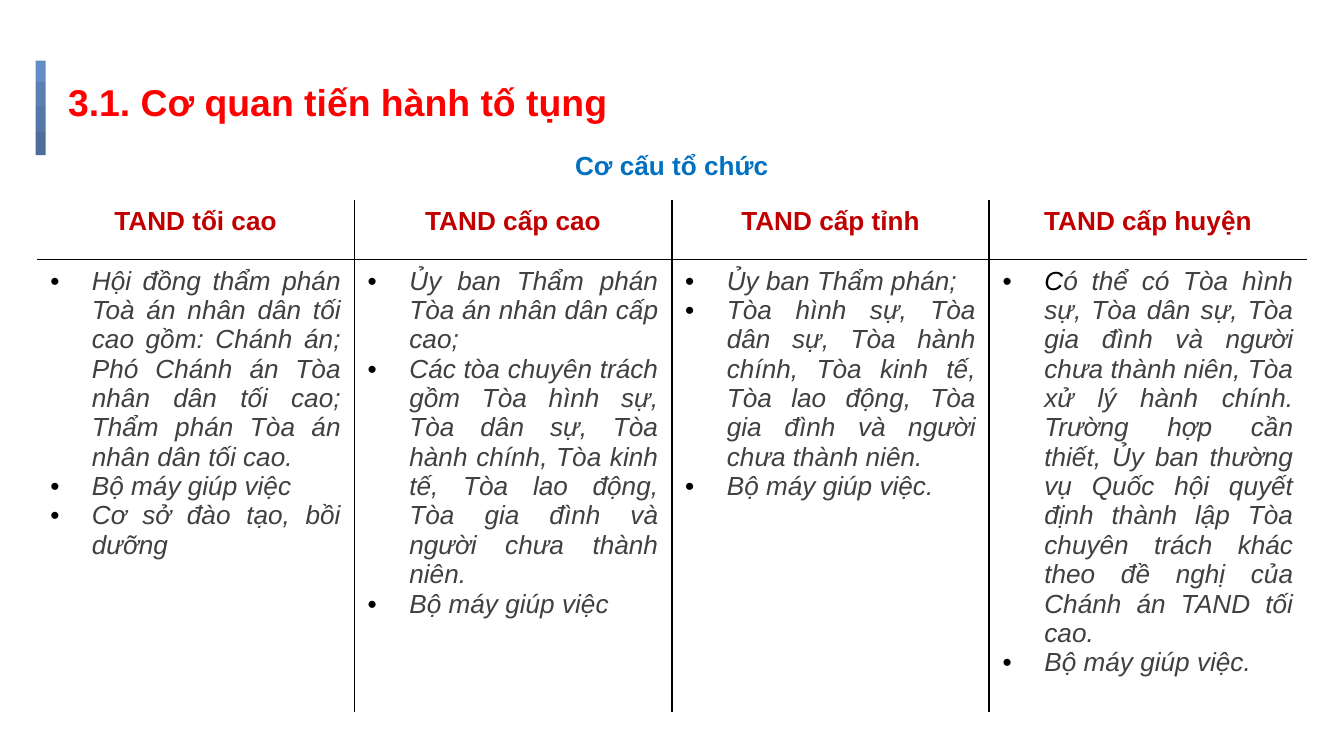
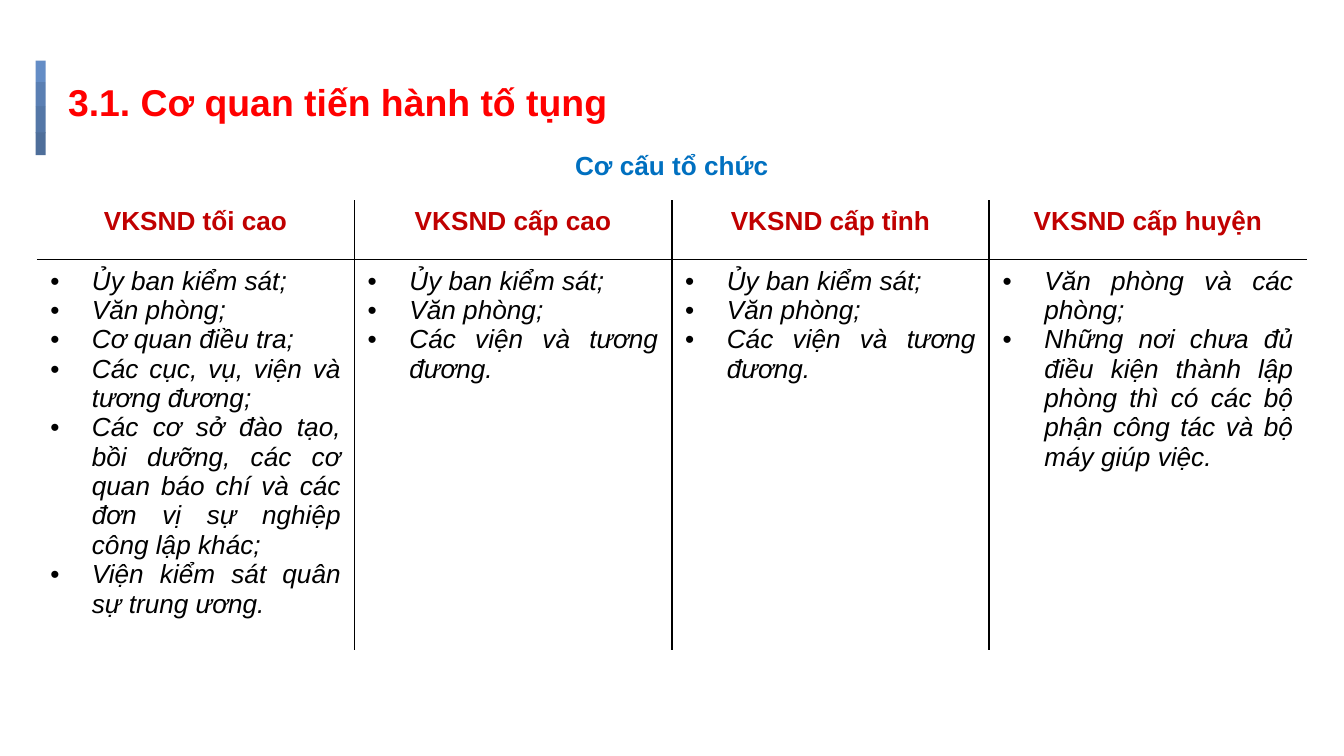
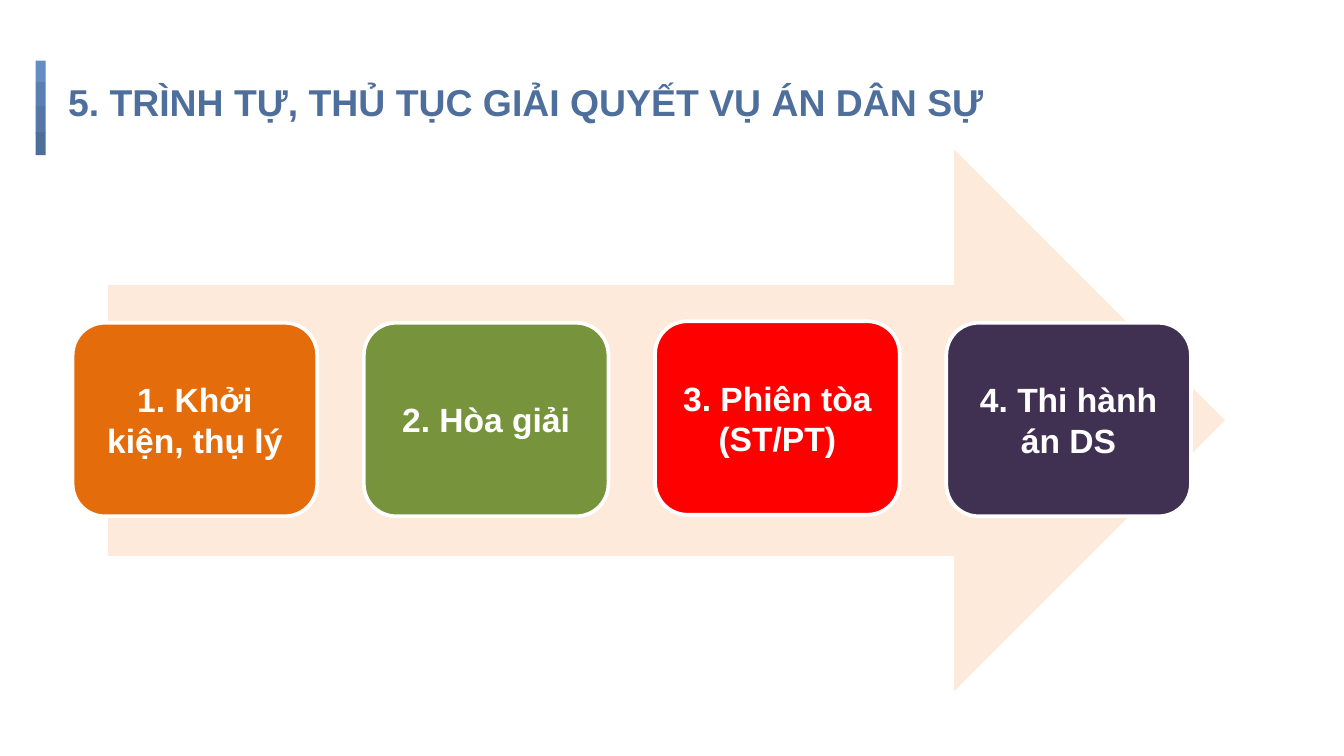
from pptx import Presentation
from pptx.dml.color import RGBColor
from pptx.enum.shapes import MSO_SHAPE as SHAPE
from pptx.enum.text import MSO_ANCHOR as ANCHOR, PP_ALIGN as ALIGN
from pptx.oxml import parse_xml
from pptx.oxml.ns import nsdecls, qn
from pptx.util import Inches, Pt

COLORS = {
    "red": "FF0000", "blue": "0070C0", "steel": "4E6F9B", "crimson": "C00000",
    "black": "000000", "grey": "404040", "white": "FFFFFF", "peach": "FDEADA",
    "orange": "E46C0A", "green": "77933C", "plum": "403152",
    "bar1": "648DC6", "bar2": "5A7FB3", "bar3": "5477A7", "bar4": "4E6E9A",
}
FORMATS = {
    "title": {"size": Pt(20), "bold": True},
    "heading": {"size": Pt(14), "bold": True},
    "body": {"size": Pt(14), "bold": False, "italic": True},
    "step": {"size": Pt(18), "bold": True},
}
PLAIN_STYLE = "{2D5ABB26-0587-4C30-8999-92F81FD0307C}"
BAR = [("bar3", 15.82, 2), ("bar4", 19.02, 1.7), ("bar1", 9.42, 1.6), ("bar2", 12.44, 1.8)]
STRUCTURE = "3.1. Cơ quan tiến hành tố tụng"
PROCEDURE = "5. TRÌNH TỰ, THỦ TỤC GIẢI QUYẾT VỤ ÁN DÂN SỰ"
LEVELS = ["tối cao", "cấp cao", "cấp tỉnh", "cấp huyện"]
PROSECUTION = ["Ủy ban kiểm sát;", "Văn phòng;"]
OFFICES = PROSECUTION + ["Các viện và tương đương."]
BODIES = [
    ("TAND", "grey", 71.1, [
        ["Hội đồng thẩm phán Toà án nhân dân tối cao gồm: Chánh án; Phó Chánh án Tòa nhân dân tối cao; "
         "Thẩm phán Tòa án nhân dân tối cao.",
         "Bộ máy giúp việc",
         "Cơ sở đào tạo, bồi dưỡng"],
        ["Ủy ban Thẩm phán Tòa án nhân dân cấp cao;",
         "Các tòa chuyên trách gồm Tòa hình sự, Tòa dân sự, Tòa hành chính, Tòa kinh tế, "
         "Tòa lao động, Tòa gia đình và người chưa thành niên.",
         "Bộ máy giúp việc"],
        ["Ủy ban Thẩm phán;",
         "Tòa hình sự, Tòa dân sự, Tòa hành chính, Tòa kinh tế, Tòa lao động, "
         "Tòa gia đình và người chưa thành niên.",
         "Bộ máy giúp việc."],
        ["C|ó thể có Tòa hình sự, Tòa dân sự, Tòa gia đình và người chưa thành niên, "
         "Tòa xử lý hành chính. Trường hợp cần thiết, Ủy ban thường vụ Quốc hội quyết định "
         "thành lập Tòa chuyên trách khác theo đề nghị của Chánh án TAND tối cao.",
         "Bộ máy giúp việc."],
    ]),
    ("VKSND", "black", 63.4, [
        PROSECUTION + [
            "Cơ quan điều tra;",
            "Các cục, vụ, viện và tương đương;",
            "Các cơ sở đào tạo, bồi dưỡng, các cơ quan báo chí và các đơn vị sự nghiệp công lập khác;",
            "Viện kiểm sát quân sự trung ương."],
        OFFICES,
        OFFICES,
        ["Văn phòng và các phòng;",
         "Những nơi chưa đủ điều kiện thành lập phòng thì có các bộ phận công tác và bộ máy giúp việc."],
    ]),
]
STEPS = [
    ("1. Khởi kiện, thụ lý", "orange", 42.7), ("2. Hòa giải", "green", 42.7),
    ("3. Phiên tòa (ST/PT)", "red", 42.5), ("4. Thi hành án DS", "plum", 42.7),
]

deck = Presentation()
deck.slide_width, deck.slide_height = Inches(10), Inches(10) * 9 // 16
COL, ROW = deck.slide_width / 100, deck.slide_height / 100


def place(left, top, width, height):
    return int(left * COL), int(top * ROW), int(width * COL), int(height * ROW)


def write(paragraph, text, style, color):
    run = paragraph.add_run()
    run.text = text
    run.font.name = "Arial"
    run.font.color.rgb = RGBColor.from_string(COLORS[color])
    for key, value in FORMATS[style].items():
        setattr(run.font, key, value)


slides = []
for heading, color in [(STRUCTURE, "red"), (STRUCTURE, "red"), (PROCEDURE, "steel")]:
    slide = deck.slides.add_slide(deck.slide_layouts[6])
    slides.append(slide)
    for shade, middle, length in BAR:
        segment = slide.shapes.add_shape(
            SHAPE.RECTANGLE, *place(3.03 - length / 2, middle - 0.67, length, 1.34))
        segment.rotation = 270
        segment.shadow.inherit = False
        segment.fill.solid()
        segment.fill.fore_color.rgb = RGBColor.from_string(COLORS[shade])
        segment.line.fill.background()
    title = slide.shapes.add_textbox(*place(4.08, 8.71, 92.5, 11.2)).text_frame
    title.word_wrap = True
    for side in ("left", "right", "top", "bottom"):
        setattr(title, f"margin_{side}", Inches(0.1))
    write(title.paragraphs[0], heading, "title", color)

for slide, (body, color, height, duties) in zip(slides, BODIES):
    frame = slide.shapes.add_table(3, 4, *place(2.74, 19.23, 94.5, height))
    structure = frame.table
    structure.first_row = structure.horz_banding = False
    structure._tbl.tblPr.find(qn("a:tableStyleId")).text = PLAIN_STYLE
    for row, share in zip(structure.rows, (7.29, 7.82, 0)):
        row.height = int(share * ROW)
    frame.height = int(height * ROW)

    structure.cell(0, 0).merge(structure.cell(0, 3))
    caption = structure.cell(0, 0).text_frame.paragraphs[0]
    caption.alignment = ALIGN.CENTER
    write(caption, "Cơ cấu tổ chức", "heading", "blue")

    for column, (level, items) in enumerate(zip(LEVELS, duties)):
        court = structure.cell(1, column).text_frame.paragraphs[0]
        court.alignment = ALIGN.CENTER
        write(court, f"{body} {level}", "heading", "crimson")
        listing = structure.cell(2, column).text_frame
        for index, item in enumerate(items):
            duty = listing.add_paragraph() if index else listing.paragraphs[0]
            duty.alignment = ALIGN.JUSTIFY
            indent = duty._p.get_or_add_pPr()
            indent.set("marL", str(Inches(0.31)))
            indent.set("indent", str(-Inches(0.31)))
            for bullet in (f'<a:buClr {nsdecls("a")}><a:srgbClr val="{COLORS["black"]}"/></a:buClr>',
                           f'<a:buFont {nsdecls("a")} typeface="Arial"/>',
                           f'<a:buChar {nsdecls("a")} char="•"/>'):
                indent.append(parse_xml(bullet))
            initial, _, rest = item.rpartition("|")
            if initial:
                write(duty, initial, "body", "black")
            write(duty, rest, "body", color)

        for level_row, edge in ((1, "lnB"), (2, "lnT")):
            borders = structure.cell(level_row, column)._tc.get_or_add_tcPr()
            edges = {"lnL": column > 0, "lnR": column < 3, edge: True}
            for side, drawn in edges.items():
                if drawn:
                    borders.append(parse_xml(
                        f'<a:{side} {nsdecls("a")} w="{Pt(1)}"><a:solidFill>'
                        f'<a:srgbClr val="{COLORS["black"]}"/></a:solidFill></a:{side}>'))
    for cell in structure.iter_cells():
        cell.fill.background()

arrow = slides[2].shapes.add_shape(SHAPE.RIGHT_ARROW, *place(8.05, 19.8, 83.1, 71.64))
arrow.shadow.inherit = False
arrow.fill.solid()
arrow.fill.fore_color.rgb = RGBColor.from_string(COLORS["peach"])
arrow.line.fill.background()

for index, (label, color, top) in enumerate(STEPS):
    step = slides[2].shapes.add_shape(
        SHAPE.ROUNDED_RECTANGLE, *place(5.4 + index * 21.67, top, 18.2, 25.6))
    step.shadow.inherit = False
    step.fill.solid()
    step.fill.fore_color.rgb = RGBColor.from_string(COLORS[color])
    step.line.color.rgb = RGBColor.from_string(COLORS["white"])
    step.line.width = Pt(2)
    wording = step.text_frame
    wording.word_wrap = True
    wording.vertical_anchor = ANCHOR.MIDDLE
    wording.margin_left = wording.margin_right = Inches(0.11)
    wording.paragraphs[0].alignment = ALIGN.CENTER
    write(wording.paragraphs[0], label, "step", "white")

deck.save("out.pptx")
